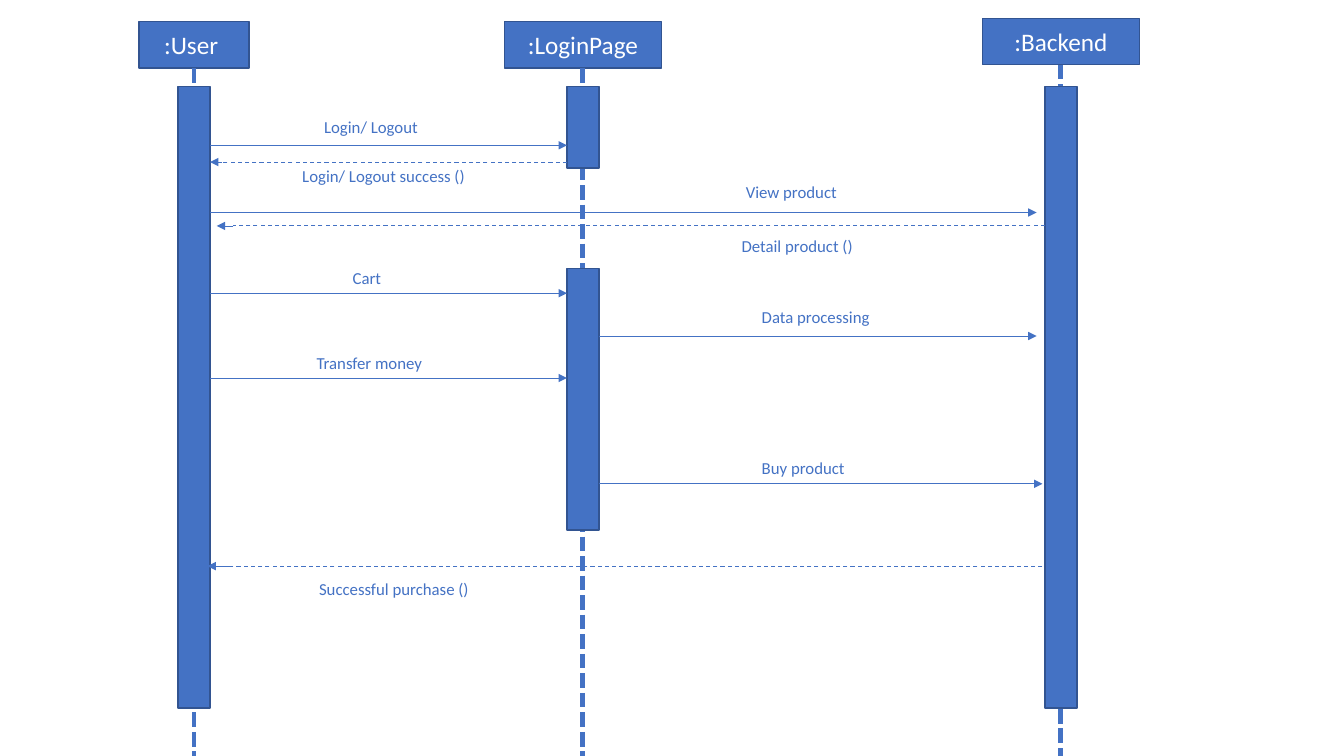
import dataclasses

import pptx
import pptx.dml.color
import pptx.enum.dml
import pptx.enum.shapes
import pptx.enum.text
import pptx.oxml.ns
import pptx.util
from lxml import etree

BLUE = pptx.dml.color.RGBColor(0x44, 0x72, 0xC4)
OUTLINE = pptx.dml.color.RGBColor(0x32, 0x54, 0x91)
WHITE = pptx.dml.color.RGBColor(0xFF, 0xFF, 0xFF)
DASH = pptx.enum.dml.MSO_LINE
FONT = "Calibri"
COLUMNS, ROWS = 160, 90
BAR_WIDTH = 3.8
HEAD_HEIGHT = 5.5
BAR_TOP = 10.3


@dataclasses.dataclass
class Grid:
    """A box divided into equal columns and rows."""
    left: int
    top: int
    width: int
    height: int

    def x(self, column):
        return round(self.left + self.width * column / COLUMNS)

    def y(self, row):
        return round(self.top + self.height * row / ROWS)

    def place(self, column, row, columns, rows):
        return (self.x(column), self.y(row),
                self.x(column + columns) - self.x(column),
                self.y(row + rows) - self.y(row))


@dataclasses.dataclass
class Participant:
    """A lifeline: head label, centre column, head size, and (top, rows) bars."""
    label: str
    centre: float
    head_width: float
    head_top: float
    activations: tuple

    @property
    def left(self):
        return self.centre - BAR_WIDTH / 2

    @property
    def right(self):
        return self.centre + BAR_WIDTH / 2


@dataclasses.dataclass
class Message:
    """An arrow and its label; a stub makes it a dashed reply with a solid tip."""
    label: str
    row: float
    start: float
    end: float
    label_at: tuple
    stub: float = 0
    label_width: float = 21.4


USER = Participant(":User ", 23.1, 13.1, 2.6, ((BAR_TOP, 74),))
LOGIN = Participant(":LoginPage", 69.4, 18.7, 2.6, ((BAR_TOP, 9.7), (32, 31.1)))
BACKEND = Participant(":Backend", 126.3, 18.7, 2.2, ((BAR_TOP, 74),))
PARTICIPANTS = (USER, LOGIN, BACKEND)

MESSAGES = (
    Message("Login/ Logout", 17.3, USER.right, LOGIN.left, (37.4, 13.3)),
    Message("Login/ Logout success ()", 19.3, LOGIN.left, USER.right,
            (34.8, 19.2), stub=1.4, label_width=23.3),
    Message("View product", 25.3, USER.right, BACKEND.left - 1, (87.6, 21.1)),
    Message("Detail product ()", 26.9, BACKEND.left, USER.right + 0.8,
            (87.1, 27.5), stub=2),
    Message("Cart ", 34.9, USER.right, LOGIN.left, (40.8, 31.3)),
    Message("Data processing", 40, LOGIN.right, BACKEND.left - 1, (89.5, 35.9)),
    Message("Transfer money", 45, USER.right, LOGIN.left, (36.5, 41.4)),
    Message("Buy product", 57.6, LOGIN.right, BACKEND.left - 0.3, (89.5, 53.9)),
    Message("Successful purchase ()", 67.4, BACKEND.left - 0.3,
            USER.right - 0.3, (36.8, 68.3), stub=2.8),
)


def add_text(frame, words, size, colour):
    """Add one formatted run to the first paragraph of a text frame."""
    run = frame.paragraphs[0].add_run()
    run.text = words
    run.font.name = FONT
    run.font.size = pptx.util.Pt(size)
    run.font.color.rgb = colour


def add_block(slide, bounds):
    """Draw a blue outlined rectangle."""
    block = slide.shapes.add_shape(
        pptx.enum.shapes.MSO_SHAPE.RECTANGLE, *bounds)
    block.shadow.inherit = False
    block.fill.solid()
    block.fill.fore_color.rgb = BLUE
    block.line.color.rgb = OUTLINE
    block.line.width = pptx.util.Pt(1)
    return block


def add_line(slide, grid, start, end, weight, dash=None, arrow=False):
    """Draw a straight line between two (column, row) points."""
    line = slide.shapes.add_connector(
        pptx.enum.shapes.MSO_CONNECTOR.STRAIGHT,
        grid.x(start[0]), grid.y(start[1]), grid.x(end[0]), grid.y(end[1]))
    line.line.color.rgb = BLUE
    line.line.width = pptx.util.Pt(weight)
    if dash is not None:
        line.line.dash_style = dash
    properties = line._element.spPr
    if arrow:
        outline = properties.find(pptx.oxml.ns.qn("a:ln"))
        etree.SubElement(outline, pptx.oxml.ns.qn("a:tailEnd"), type="triangle")
    etree.SubElement(properties, pptx.oxml.ns.qn("a:effectLst"))


def add_participant(slide, grid, participant):
    """Place a head, its lifeline and its activation bars."""
    head = add_block(slide, grid.place(
        participant.centre - participant.head_width / 2, participant.head_top,
        participant.head_width, HEAD_HEIGHT))
    frame = head.text_frame
    frame.vertical_anchor = pptx.enum.text.MSO_ANCHOR.MIDDLE
    frame.paragraphs[0].alignment = pptx.enum.text.PP_ALIGN.CENTER
    add_text(frame, participant.label, 18, WHITE)
    add_line(slide, grid,
             (participant.centre, participant.head_top + HEAD_HEIGHT),
             (participant.centre, ROWS), 3.5, DASH.SQUARE_DOT)
    for top, rows in participant.activations:
        add_block(slide, grid.place(participant.left, top, BAR_WIDTH, rows))


def add_message(slide, grid, message):
    """Place a call or reply arrow with its label."""
    start, end = (message.start, message.row), (message.end, message.row)
    if message.stub:
        joint = (message.end + message.stub, message.row)
        add_line(slide, grid, start, joint, 0.75, DASH.DASH)
        start = joint
    add_line(slide, grid, start, end, 0.5, arrow=True)
    label = slide.shapes.add_textbox(
        *grid.place(*message.label_at, message.label_width, 3.6))
    label.text_frame.word_wrap = True
    label.text_frame.auto_size = pptx.enum.text.MSO_AUTO_SIZE.SHAPE_TO_FIT_TEXT
    add_text(label.text_frame, message.label, 12, BLUE)


def add_sequence_diagram(slide, grid):
    """Fill the grid with participants, then the messages between them."""
    for participant in PARTICIPANTS:
        add_participant(slide, grid, participant)
    for message in MESSAGES:
        add_message(slide, grid, message)


def main():
    """Build the one-slide deck and save it."""
    deck = pptx.Presentation()
    deck.slide_width = pptx.util.Inches(13.33)
    deck.slide_height = pptx.util.Inches(7.5)
    slide = deck.slides.add_slide(deck.slide_layouts[6])
    add_sequence_diagram(
        slide, Grid(0, 0, deck.slide_width, deck.slide_height))
    deck.save("out.pptx")


main()
